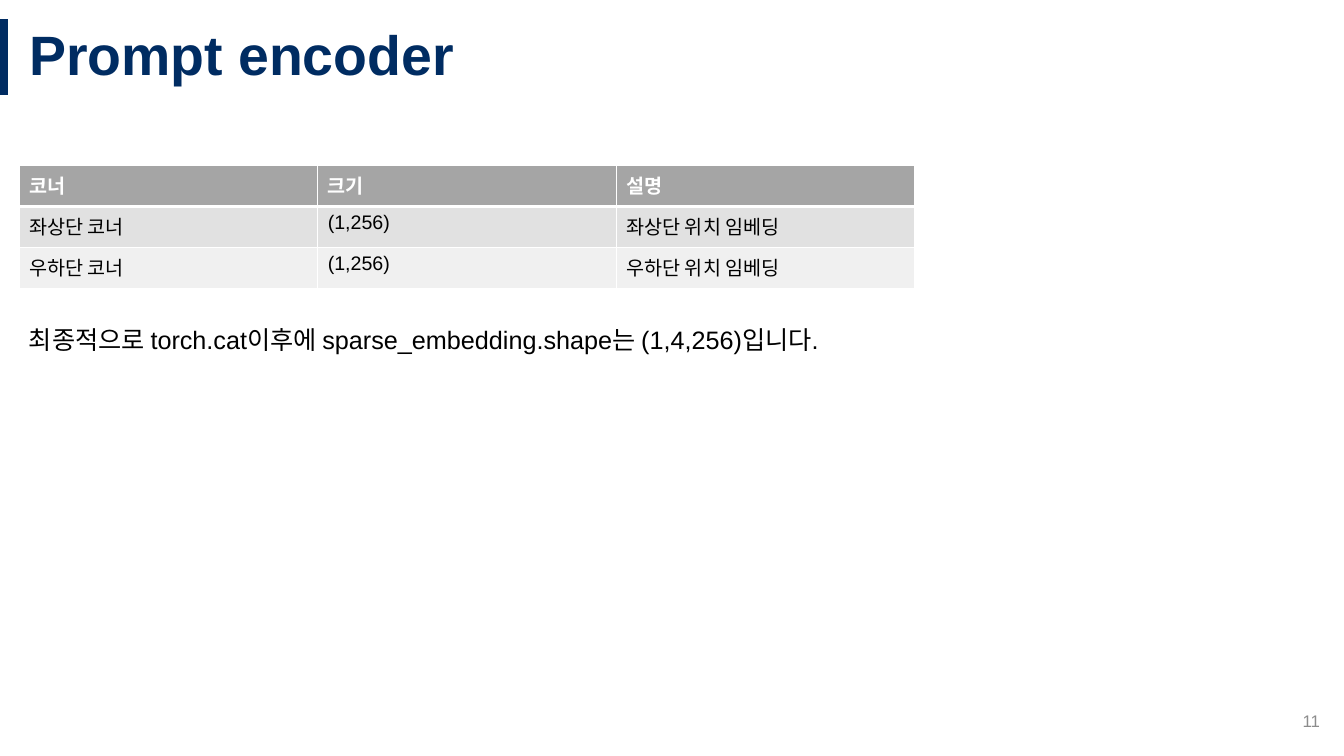
import pptx
import pptx.util
import pptx.dml.color
import pptx.enum.shapes
import pptx.enum.text
import pptx.oxml
import pptx.oxml.ns

Pt = pptx.util.Pt
ALIGN = pptx.enum.text.PP_ALIGN
ANCHOR = pptx.enum.text.MSO_ANCHOR


def color(value):
    return pptx.dml.color.RGBColor.from_string(value)


def write(frame, text, size, hex_color, bold=False, align=ALIGN.LEFT):
    frame.word_wrap = True
    paragraph = frame.paragraphs[0]
    paragraph.alignment = align
    run = paragraph.add_run()
    run.text = text
    run.font.name = "Arial"
    run.font.size = Pt(size)
    run.font.bold = bold
    run.font.color.rgb = color(hex_color)
    return paragraph


presentation = pptx.Presentation()
presentation.slide_width = Pt(960)
presentation.slide_height = Pt(540)
slide = presentation.slides.add_slide(presentation.slide_layouts[5])

accent = slide.shapes.add_connector(
    pptx.enum.shapes.MSO_CONNECTOR.STRAIGHT, Pt(2.8), Pt(13.6), Pt(2.8), Pt(68))
accent.line.color.rgb = color("002C62")
accent.line.width = Pt(6)
accent.element.spPr.append(pptx.oxml.parse_xml(
    f"<a:effectLst {pptx.oxml.ns.nsdecls('a')}/>"))

title = slide.shapes.title
title.left, title.top, title.width, title.height = Pt(13.6), Pt(13.6), Pt(946.4), Pt(54.4)
title.text_frame.auto_size = pptx.enum.text.MSO_AUTO_SIZE.NONE
title.text_frame.vertical_anchor = ANCHOR.MIDDLE
heading = write(title.text_frame, "Prompt encoder", 39.6, "002C62", bold=True)
heading.line_spacing = 0.9

page_number = slide.shapes.add_textbox(Pt(734), Pt(500.5), Pt(216), Pt(28.75))
page_number.text_frame.vertical_anchor = ANCHOR.MIDDLE
write(page_number.text_frame, "11", 12, "8C8C8C", align=ALIGN.RIGHT)

rows = [
    ("코너", "크기", "설명"),
    ("좌상단 코너", "(1,256)", "좌상단 위치 임베딩"),
    ("우하단 코너", "(1,256)", "우하단 위치 임베딩"),
]
row_fills = ["A5A5A5", "E1E1E1", "F0F0F0"]
table = slide.shapes.add_table(3, 3, Pt(13.6), Pt(118.2), Pt(640), Pt(87.6)).table
for row_index, (row, fill) in enumerate(zip(rows, row_fills)):
    is_header = row_index == 0
    border_widths = {
        "L": 1, "R": 1, "T": 3 if row_index == 1 else 1, "B": 3 if is_header else 1}
    for column_index, text in enumerate(row):
        cell = table.cell(row_index, column_index)
        write(cell.text_frame, text, 14, "FFFFFF" if is_header else "000000", is_header)
        cell.fill.solid()
        cell.fill.fore_color.rgb = color(fill)
        properties = cell._tc.get_or_add_tcPr()
        for position, (side, width) in enumerate(border_widths.items()):
            properties.insert(position, pptx.oxml.parse_xml(
                f'<a:ln{side} {pptx.oxml.ns.nsdecls("a")} w="{Pt(width)}"><a:solidFill>'
                f'<a:srgbClr val="FFFFFF"/></a:solidFill></a:ln{side}>'))

summary = slide.shapes.add_textbox(Pt(13.6), Pt(228.2), Pt(666), Pt(29))
write(summary.text_frame,
      "최종적으로 torch.cat이후에 sparse_embedding.shape는 (1,4,256)입니다.", 18, "000000")

presentation.save("out.pptx")
